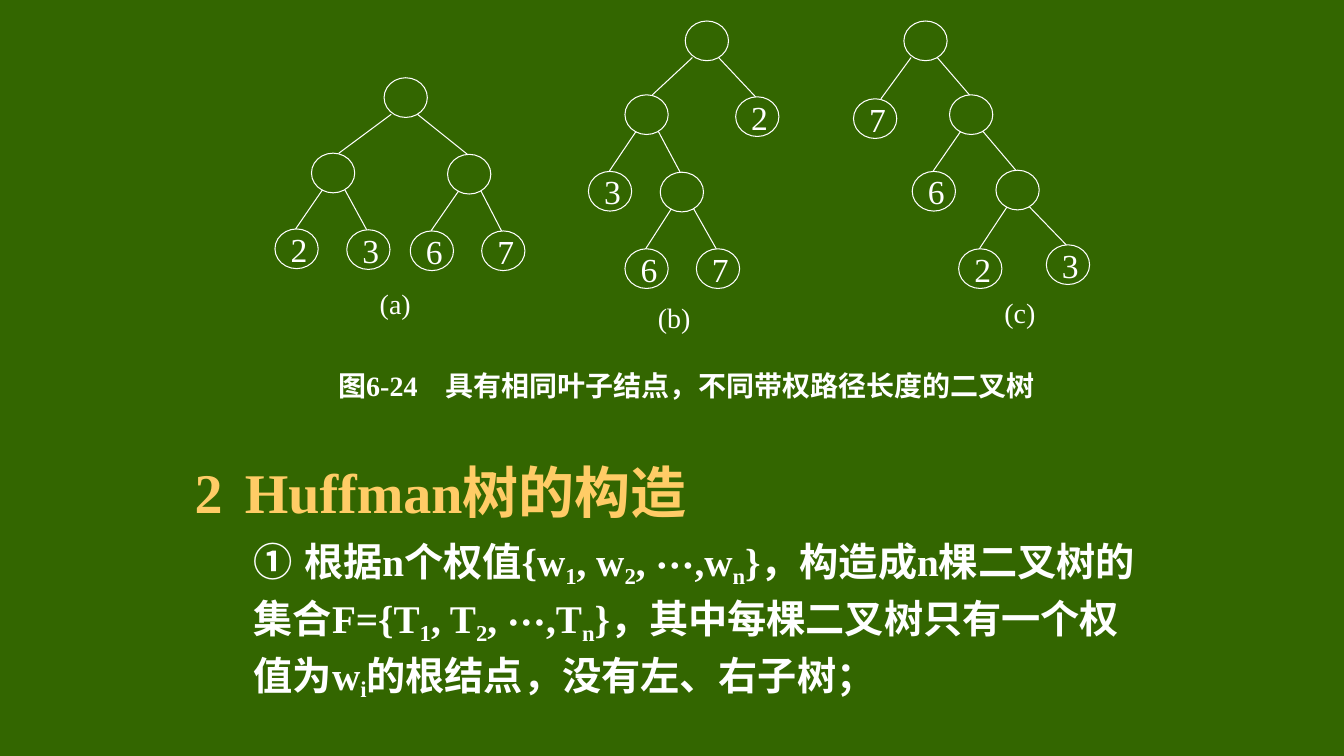
from lxml import etree
from pptx import Presentation
from pptx.dml.color import RGBColor
from pptx.enum.shapes import MSO_CONNECTOR, MSO_SHAPE
from pptx.enum.text import MSO_ANCHOR, MSO_AUTO_SIZE, PP_ALIGN
from pptx.oxml.ns import qn
from pptx.util import Cm, Pt

OVAL, LINE = MSO_SHAPE.OVAL, MSO_CONNECTOR.STRAIGHT
MID, TOP = MSO_ANCHOR.MIDDLE, MSO_ANCHOR.TOP
CENTER, LEFT = PP_ALIGN.CENTER, PP_ALIGN.LEFT
FIXED = MSO_AUTO_SIZE.NONE

THEME = {
    "ground": RGBColor(0x33, 0x66, 0x00),
    "ink": RGBColor(0xFF, 0xFF, 0xFF),
    "gold": RGBColor(0xFF, 0xCC, 0x66),
    "latin": "Times New Roman",
    "asian": "Noto Sans CJK SC",
    "head": Pt(40), "body": Pt(28), "node": Pt(24), "label": Pt(20),
    "rule": Pt(0.75),
}


def style(run, size, color="ink", bold=False, face="latin"):
    font = run.font
    font.size, font.bold = THEME[size], bold
    font.color.rgb = THEME[color]
    font.name = THEME[face]
    east = etree.SubElement(run._r.get_or_add_rPr(), qn("a:ea"))
    east.set("typeface", THEME["asian"])


def label(mid, y, wide, high):
    box = slide.shapes.add_textbox(Cm(mid - wide / 2), Cm(y), Cm(wide), Cm(high))
    frame = box.text_frame
    frame.word_wrap = True
    frame.vertical_anchor = MID
    frame.paragraphs[0].alignment = CENTER
    return frame


deck = Presentation()
deck.slide_width, deck.slide_height = Cm(33.87), Cm(19.05)
slide = deck.slides.add_slide(deck.slide_layouts[1])
slide.background.fill.solid()
slide.background.fill.fore_color.rgb = THEME["ground"]
title = slide.shapes.title._element
title.getparent().remove(title)

# Trees: caption with its centre and top, then nodes as x, y, weight, parent
TREES = [
    ("(a)", 10.32, 7.19, [
        (9.68, 1.96, "", None), (7.85, 3.86, "", 0), (11.28, 3.89, "", 0),
        (6.93, 5.77, "2", 1), (8.74, 5.79, "3", 1),
        (10.34, 5.82, "6", 2), (12.14, 5.82, "7", 2)]),
    ("(b)", 17.33, 7.54, [
        (17.27, 0.53, "", None), (15.75, 2.39, "", 0), (18.54, 2.44, "2", 0),
        (14.83, 4.32, "3", 1), (16.64, 4.34, "", 1),
        (15.75, 6.27, "6", 4), (17.55, 6.27, "7", 4)]),
    ("(c)", 26.06, 7.42, [
        (22.78, 0.53, "", None), (21.51, 2.49, "7", 0), (23.93, 2.39, "", 0),
        (22.99, 4.32, "6", 2), (25.10, 4.29, "", 2),
        (24.16, 6.27, "2", 4), (26.37, 6.17, "3", 4)]),
]
WIDE, HIGH = 1.09, 1.0

for name, mid, top, nodes in TREES:
    for x, y, weight, root in nodes:
        node = slide.shapes.add_shape(OVAL, Cm(x), Cm(y), Cm(WIDE), Cm(HIGH))
        node.shadow.inherit = False
        node.fill.background()
        node.line.color.rgb = THEME["ink"]
        node.line.width = THEME["rule"]
        if weight:
            frame = node.text_frame
            frame.text = weight
            frame.word_wrap = False
            frame.vertical_anchor = MID
            frame.margin_left = Cm(0.12)
            frame.margin_right = frame.margin_top = frame.margin_bottom = 0
            frame.paragraphs[0].alignment = CENTER
            style(frame.paragraphs[0].runs[0], "node")
        if root is None:
            continue

        # Edge from the lower side of the parent to the top of the child
        px, py = nodes[root][:2]
        if x > px:
            start, end = 0.84, 0.5
        elif root == 0:
            start, end = 0.18, 0.69
        else:
            start, end = 0.28, 0.52
        edge = slide.shapes.add_connector(
            LINE, Cm(px + start), Cm(py + 0.92), Cm(x + end), Cm(y))
        edge.line.color.rgb = THEME["ink"]
        edge.line.width = THEME["rule"]
        etree.SubElement(edge._element.spPr, qn("a:effectLst"))

    frame = label(mid, top, 2, 0.9)
    frame.text = name
    style(frame.paragraphs[0].runs[0], "label")

# Figure caption
line = label(17.3, 9.22, 20, 1).paragraphs[0]
for text, face in [("图", "asian"),
                   ("6-24　具有相同叶子结点，不同带权路径长度的二叉树", "latin")]:
    run = line.add_run()
    run.text = text
    style(run, "label", bold=True, face=face)

# Heading and first step; every second run is a subscript
STEP = ["①\t根据n个权值{w", "1", ", w", "2", ", ⋯,w", "n",
        "}，构造成n棵二叉树的集合F={T", "1", ", T", "2", ", ⋯,T", "n",
        "}，其中每棵二叉树只有一个权值为w", "i", "的根结点，没有左、右子树；"]
PARTS = [(["2\tHuffman树的构造"], 0, 0, 1.53, 0, "head", "gold"),
         (STEP, 1, 1.49, 3.1, 5.6, "body", "ink")]

body = slide.placeholders[1]
body.left, body.top = Cm(4.65), Cm(11.23)
body.width, body.height = Cm(24.56), Cm(6.3)
frame = body.text_frame
frame.word_wrap = True
frame.auto_size = FIXED
frame.vertical_anchor = TOP
for i, (texts, level, inset, stop, gap, size, color) in enumerate(PARTS):
    line = frame.add_paragraph() if i else frame.paragraphs[0]
    props = line._p.get_or_add_pPr()
    props.set("marL", str(Cm(inset)))
    props.set("indent", "0")
    etree.SubElement(props, qn("a:buNone"))
    tabs = etree.SubElement(props, qn("a:tabLst"))
    etree.SubElement(tabs, qn("a:tab"), pos=str(Cm(stop)), algn="l")
    line.level, line.alignment = level, LEFT
    line.line_spacing, line.space_before = 1.1, Pt(gap)
    for k, text in enumerate(texts):
        run = line.add_run()
        run.text = text
        style(run, size, color, bold=True)
        if k % 2:
            run._r.get_or_add_rPr().set("baseline", "-20000")

deck.save("out.pptx")
